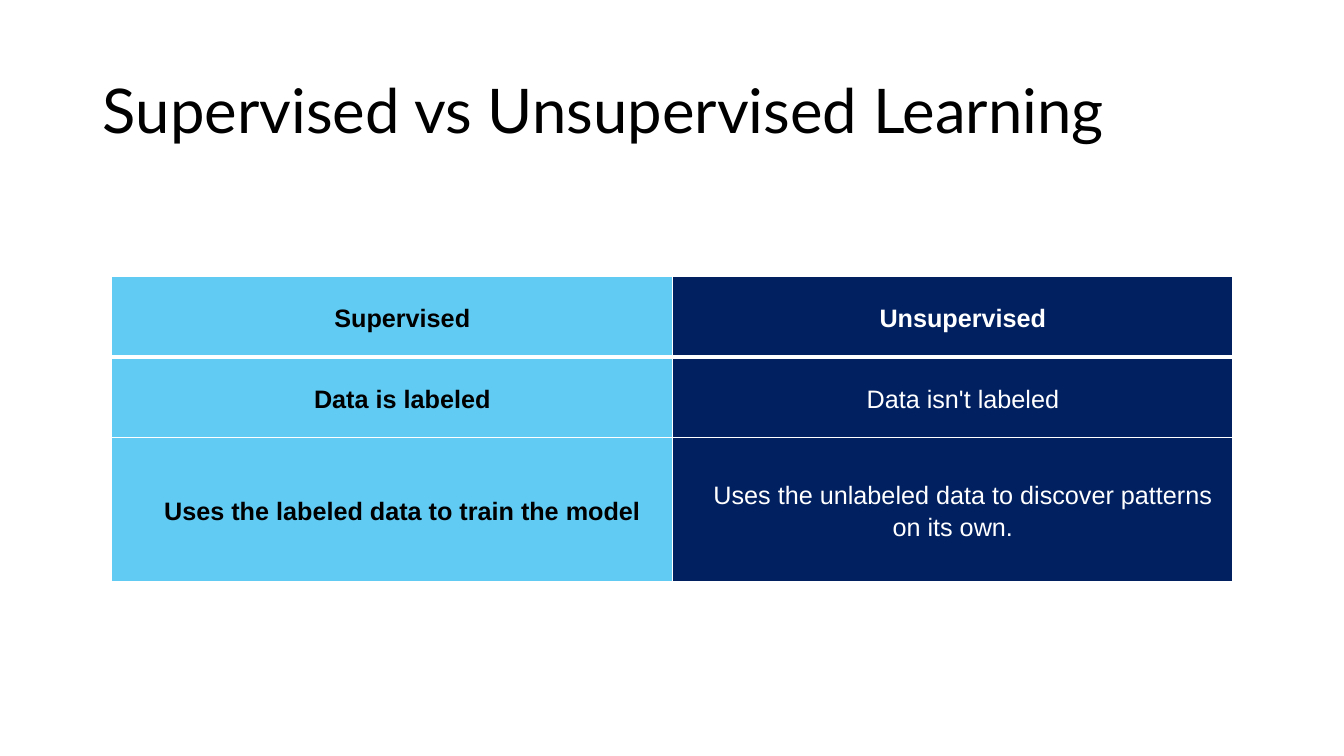
from dataclasses import dataclass

from lxml.etree import SubElement
from pptx import Presentation
from pptx.dml.color import RGBColor as RGB
from pptx.enum.text import MSO_ANCHOR as Anchor, PP_ALIGN as Align
from pptx.oxml.ns import qn
from pptx.util import Inches, Pt


@dataclass(frozen=True)
class Theme:
    black: str = "000000"
    white: str = "FFFFFF"
    sky: str = "61CBF4"
    navy: str = "002060"
    head: str = "Lato"
    body: str = "Arial"
    big: int = 44
    small: int = 18


theme = Theme()


def style(para, face, size, color, bold, gap):
    para.line_spacing = gap
    font = para.runs[0].font
    font.name, font.size, font.bold = face, Pt(size), bold
    font.color.rgb = RGB.from_string(color)


def edge(cell, side, width):
    """Draw one white border; call before the cell is filled."""
    line = SubElement(cell._tc.get_or_add_tcPr(), qn(f"a:ln{side}"), w=str(Pt(width)))
    fill = SubElement(line, qn("a:solidFill"))
    SubElement(fill, qn("a:srgbClr"), val=theme.white)


deck = Presentation()
deck.slide_width, deck.slide_height = Inches(13.33), Inches(7.5)
slide = deck.slides.add_slide(deck.slide_layouts[5])

title = slide.shapes.title
title.left, title.top = Inches(0.92), Inches(0.4)
title.width, title.height = Inches(11.5), Inches(1.45)
frame = title.text_frame
frame.text = "Supervised vs Unsupervised Learning"
frame.vertical_anchor = Anchor.MIDDLE
frame.paragraphs[0].alignment = Align.LEFT
style(frame.paragraphs[0], theme.head, theme.big, theme.black, False, 0.9)

rows = [
    ("Supervised", "Unsupervised"),
    ("Data is labeled", "Data isn't labeled"),
    ("Uses the labeled data to train the model",
     "Uses the unlabeled data to discover patterns on its own."),
]
tones = [(theme.sky, theme.black), (theme.navy, theme.white)]
table = slide.shapes.add_table(
    len(rows), len(tones), Inches(1.11), Inches(2.74), Inches(11.12), Inches(3.03)
).table
for row, height in zip(table.rows, (0.8, 0.8, 1.43)):
    row.height = Inches(height)

for r, texts in enumerate(rows):
    for c, (text, (back, ink)) in enumerate(zip(texts, tones)):
        cell = table.cell(r, c)
        cell.text = text
        cell.vertical_anchor = Anchor.MIDDLE
        cell.margin_left = cell.margin_right = Inches(0.09)
        cell.margin_top = cell.margin_bottom = 0
        for side in "LRTB":
            thick = (r, side) in ((0, "B"), (1, "T"))
            edge(cell, side, 3 if thick else 1)
        cell.fill.solid()
        cell.fill.fore_color.rgb = RGB.from_string(back)
        para = cell.text_frame.paragraphs[0]
        para.alignment = Align.CENTER
        props = para._p.get_or_add_pPr()
        props.set("marL", "0")
        props.set("indent", str(Inches(0.2)))
        style(para, theme.body, theme.small, ink, r == 0 or c == 0, 1.15)

deck.save("out.pptx")
